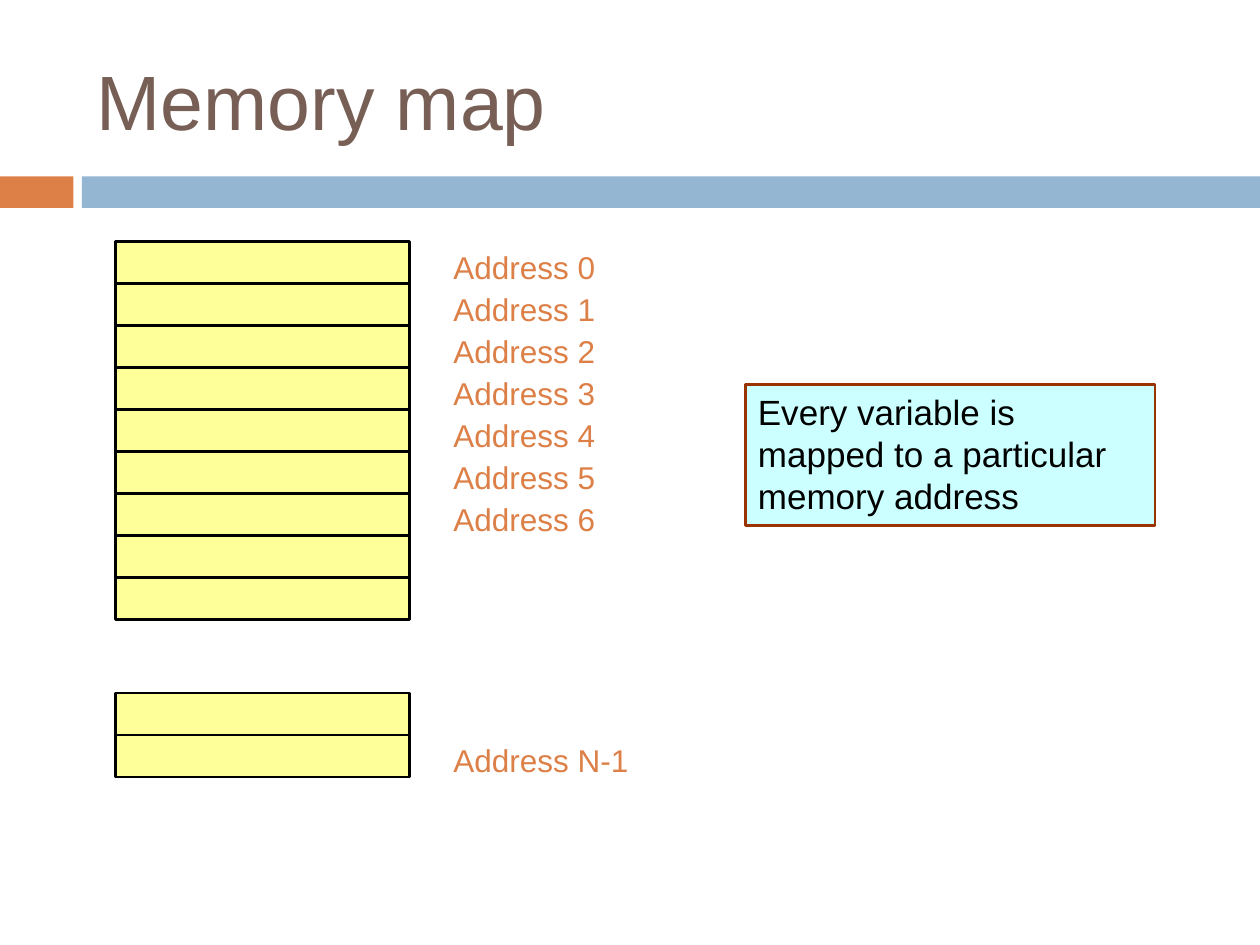
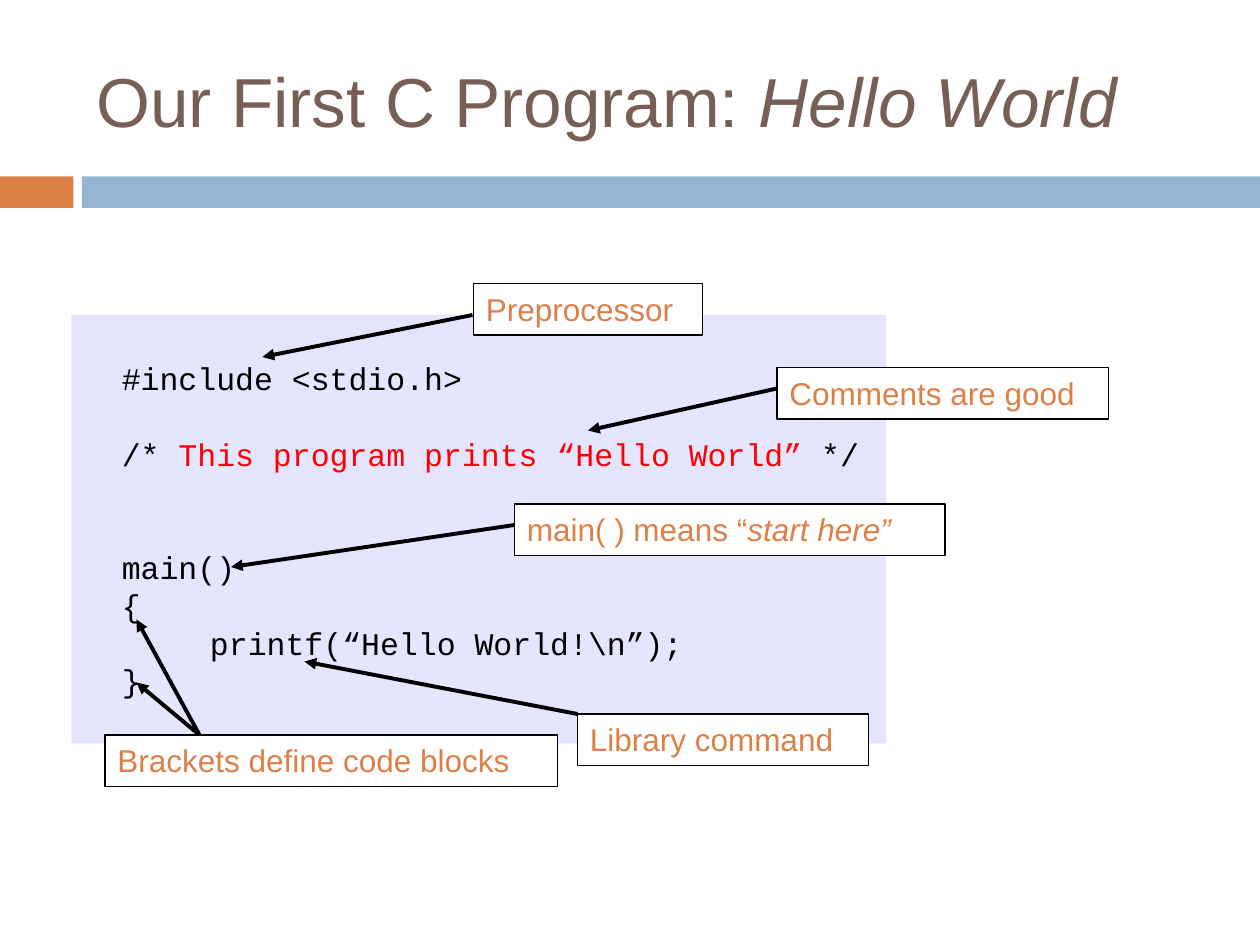
from pptx import Presentation
from pptx.dml.color import RGBColor
from pptx.enum.shapes import MSO_CONNECTOR as CONN, MSO_SHAPE as SHAPE
from pptx.enum.text import MSO_ANCHOR as ANCHOR, PP_ALIGN as ALIGN
from pptx.oxml.ns import qn
from pptx.util import Inches, Pt
from lxml.etree import SubElement

COLS, ROWS = 120, 90
ORANGE, BLUE, BROWN = "DD8047", "94B6D2", "775F55"
BLACK, WHITE, RED, RUST = "000000", "FFFFFF", "FF0000", "993300"
YELLOW, CYAN, LAVENDER = "FFFF99", "CCFFFF", "E5E5FF"
SANS, MONO = "Arial", "Courier New"


def rgb(value):
    return RGBColor.from_string(value)


class Deck:
    """Slide style and the current slide, placed on a grid of COLS by ROWS."""

    def __init__(self):
        self.prs = Presentation()
        self.prs.slide_width, self.prs.slide_height = Inches(10), Inches(7.5)
        self.slide = None

    def x(self, col):
        return round(self.prs.slide_width * col / COLS)

    def y(self, row):
        return round(self.prs.slide_height * row / ROWS)

    def place(self, col, row, width, height):
        return self.x(col), self.y(row), self.x(width), self.y(height)

    def style(self, p, size, color, font=SANS):
        f = p.font
        f.name, f.size, f.color.rgb = font, Pt(size), rgb(color)

    def runs(self, p, parts):
        for text, look in parts:
            r = p.add_run()
            r.text = text
            if "italic" in look:
                r.font.italic = look["italic"]
            if "color" in look:
                r.font.color.rgb = rgb(look["color"])

    def add_slide(self, parts, size=44):
        self.slide = self.prs.slides.add_slide(self.prs.slide_layouts[5])
        self.box((0, 16.8, 7, 3), ORANGE)
        self.box((7.8, 16.8, COLS - 7.8, 3), BLUE)
        title = self.slide.shapes.title
        title.left, title.top, title.width, title.height = self.place(8, 3, 107, 13)
        tf = title.text_frame
        tf.vertical_anchor, tf.word_wrap = ANCHOR.MIDDLE, True
        p = tf.paragraphs[0]
        p.alignment = ALIGN.LEFT
        self.style(p, size, BROWN)
        self.runs(p, parts)

    def box(self, at, fill, line=None, weight=1.5, shapes=None):
        s = (shapes or self.slide.shapes).add_shape(SHAPE.RECTANGLE, *self.place(*at))
        s.shadow.inherit = False
        s.fill.solid()
        s.fill.fore_color.rgb = rgb(fill)
        if line:
            s.line.color.rgb = rgb(line)
            s.line.width = Pt(weight)
        else:
            s.line.fill.background()
        return s

    def add_text(self, s, parts, size, color, font=SANS, new=False):
        tf = s.text_frame
        tf.word_wrap, tf.vertical_anchor = True, ANCHOR.TOP
        p = tf.add_paragraph() if new else tf.paragraphs[0]
        p.alignment, p.line_spacing = ALIGN.LEFT, Pt(size * 1.2)
        self.style(p, size, color, font)
        self.runs(p, parts)
        return p

    def label(self, text, at):
        s = self.slide.shapes.add_textbox(*self.place(*at))
        self.add_text(s, [(text, {})], 18, ORANGE)

    def cells(self, col, row, width, height, count):
        for i in range(count):
            self.box((col, row + i * height, width, height), YELLOW, BLACK)

    def arrow(self, start, end, shapes):
        c = shapes.add_connector(CONN.STRAIGHT, self.x(start[0]), self.y(start[1]),
                                 self.x(end[0]), self.y(end[1]))
        c.line.color.rgb, c.line.width = rgb(BLACK), Pt(2.25)
        props = c._element.spPr
        SubElement(props.get_or_add_ln(), qn("a:tailEnd"), type="triangle")
        SubElement(props, qn("a:effectLst"))

    def callout(self, parts, col, row, width, start, *ends):
        shapes = self.slide.shapes.add_group_shape().shapes
        s = self.box((col, row, width, 4.92), WHITE, BLACK, 0.75, shapes)
        self.add_text(s, parts, 18, ORANGE)
        for end in ends:
            self.arrow(start, end, shapes)

    def code(self, at, lines, size=18):
        s = self.box(at, LAVENDER)
        pitch = Pt(size * 1.2)
        s.text_frame.margin_left = Inches(0.4)
        s.text_frame.margin_top = Inches(0.05) + pitch
        for i, (gap, indent, parts) in enumerate(lines):
            p = self.add_text(s, parts, size, BLACK, MONO, new=i > 0)
            p.space_before = gap * pitch
            p._p.get_or_add_pPr().set("marL", str(Inches(indent)))


def memory_map(deck):
    deck.add_slide([("Memory map", {})])
    left, top, width, height = 11, 23, 28, 4
    deck.cells(left, top, width, height, 9)
    deck.cells(left, 66, width, height, 2)
    for i in range(7):
        deck.label(f"Address {i}", (42, top + i * height, 18.8, 4.8))
    deck.label("Address N-1", (42, 70, 21, 4.8))
    note = deck.box((71, 36.6, 39, 13.44), CYAN, RUST)
    deck.add_text(note, [("Every variable is mapped to a particular memory address", {})],
                  20, BLACK)


def hello_world(deck):
    deck.add_slide([("Our First C Program: ", {}), ("Hello World", {"italic": True})], 39.6)
    deck.code((6.8, 30, 77.6, 40.8), [
        (0, 0, [("#include <stdio.h>", {})]),
        (1, 0, [("/* ", {}), ("This program prints “Hello World”", {"color": RED}),
                (" */", {})]),
        (2, 0, [("main()", {})]),
        (0, 0, [("{", {})]),
        (0, 0.7, [("printf(“Hello World!\\n”);", {})]),
        (0, 0, [("}", {})]),
    ])
    deck.callout([("Brackets define code blocks", {})], 10, 70, 43.1,
                 (19, 70), (13, 59), (13, 65))
    deck.callout([("Library command", {})], 55, 68, 27.7, (55, 68), (29, 63))
    deck.callout([("main( ) means “", {}), ("start here”", {"italic": True})],
                 49, 48, 41, (49, 50), (22, 54))
    deck.callout([("Preprocessor", {})], 45.1, 27, 21.8, (45, 30), (25, 34))
    deck.callout([("Comments are good", {})], 74, 35, 31.6, (74, 37), (56, 41))


deck = Deck()
memory_map(deck)
hello_world(deck)
deck.prs.save("out.pptx")
